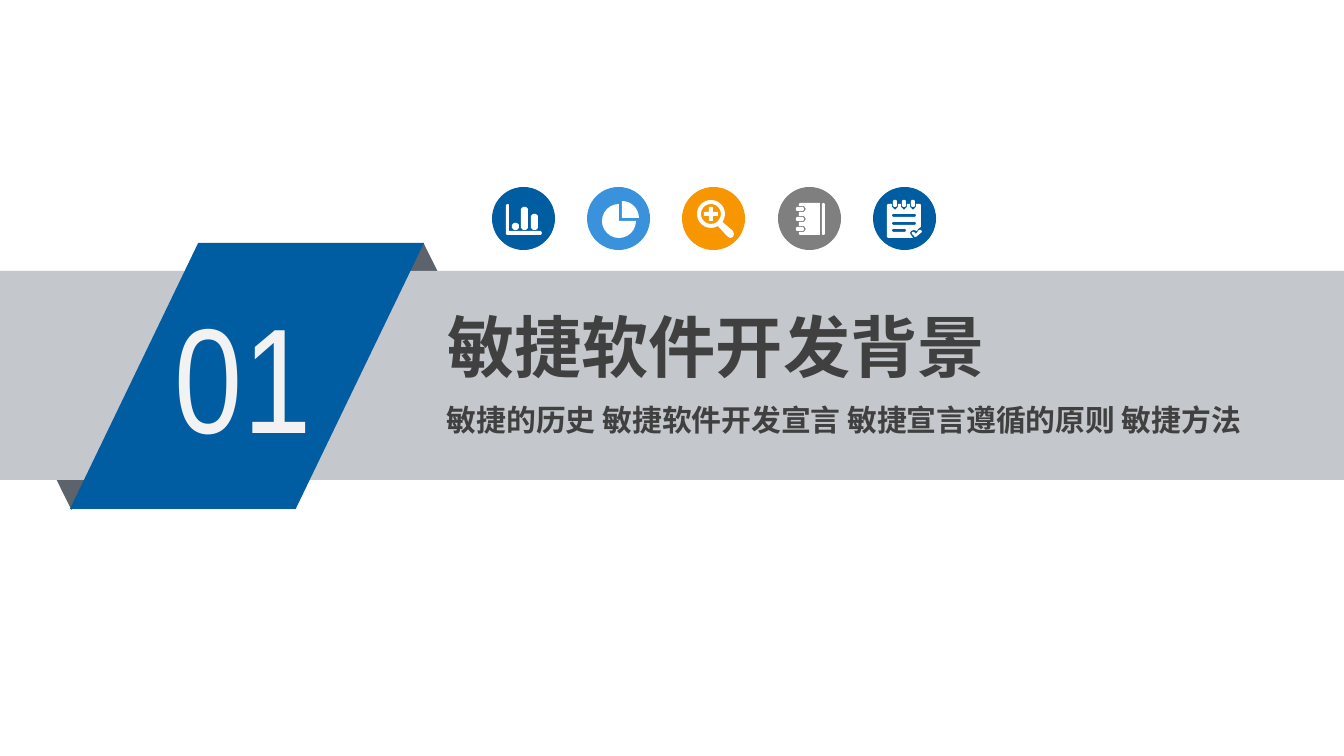
import math

import lxml.etree
import pptx
import pptx.dml.color
import pptx.enum.shapes
import pptx.enum.text
import pptx.oxml.ns
import pptx.util

SHAPE = pptx.enum.shapes.MSO_SHAPE
SCALE = 914400 / 134.4
BLUE, WHITE, DARK = "005DA2", "FFFFFF", "404040"
CJK = "Noto Sans CJK SC"


def px(n):
    return pptx.util.Emu(round(n * SCALE))


def color(value):
    return pptx.dml.color.RGBColor.from_string(value)


def write(tf, text, size, font, fill, bold=False, inset=10):
    tf.word_wrap = True
    tf.auto_size = pptx.enum.text.MSO_AUTO_SIZE.SHAPE_TO_FIT_TEXT
    tf.vertical_anchor = pptx.enum.text.MSO_ANCHOR.TOP
    tf.margin_left = tf.margin_right = px(inset)
    tf.margin_top = tf.margin_bottom = px(5)
    p = tf.paragraphs[0]
    p.alignment = pptx.enum.text.PP_ALIGN.LEFT
    r = p.add_run()
    r.text = text
    r.font.size = pptx.util.Pt(size)
    r.font.name = font
    r.font.bold = bold
    r.font.color.rgb = color(fill)
    ea = lxml.etree.SubElement(r.font._element, pptx.oxml.ns.qn("a:ea"))
    ea.set("typeface", font)


class Deck:
    """Holds the slide, the group being filled and the fill style."""

    def __init__(self, width, height):
        self.prs = pptx.Presentation()
        self.prs.slide_width, self.prs.slide_height = px(width), px(height)
        self.s = self.prs.slides.add_slide(self.prs.slide_layouts[5])
        self.shapes = self.s.shapes

    def group(self):
        self.shapes = self.s.shapes.add_group_shape().shapes

    def ungroup(self):
        self.shapes = self.s.shapes

    def paint(self, sp, fill):
        sp.shadow.inherit = False
        sp.fill.solid()
        sp.fill.fore_color.rgb = color(fill)
        sp.line.fill.background()

    def shape(self, kind, x, y, w, h, fill, adj=None, flip=False):
        sp = self.shapes.add_shape(kind, px(x), px(y), px(w), px(h))
        if adj is not None:
            sp.adjustments[0] = adj
        if flip:
            sp._element.spPr.get_or_add_xfrm().set("flipV", "1")
        self.paint(sp, fill)

    def outline(self, contours, x, y, fill):
        dots = [[(px(x + dx), px(y + dy)) for dx, dy in c] for c in contours]
        fb = self.shapes.build_freeform(*dots[0][0])
        for i, contour in enumerate(dots):
            if i:
                fb.move_to(*contour[0])
            fb.add_line_segments(contour[1:])
        self.paint(fb.convert_to_shape(), fill)

    def icon(self, x, y, fill, contours):
        self.group()
        self.shape(SHAPE.OVAL, x, y, 63, 63, fill)
        self.outline(contours, x, y, WHITE)
        self.ungroup()

    def text(self, text, x, y, w, h, **style):
        tb = self.shapes.add_textbox(px(x), px(y), px(w), px(h))
        write(tb.text_frame, text, **style)

    def title(self, text, x, y, w, h, **style):
        sp = self.s.shapes.title
        sp.left, sp.top, sp.width, sp.height = px(x), px(y), px(w), px(h)
        write(sp.text_frame, text, **style)
        self.s.shapes._spTree.append(sp._element)


def arc(cx, cy, radius, start=0, end=360, steps=24):
    angles = [math.radians(start + (end - start) * i / steps) for i in range(steps + 1)]
    return [(cx + radius * math.cos(a), cy + radius * math.sin(a)) for a in angles]


def box(x, y, w, h, cut=1):
    r, b = x + w, y + h
    return [(x + cut, y), (r - cut, y), (r, y + cut), (r, b - cut),
            (r - cut, b), (x + cut, b), (x, b - cut), (x, y + cut)]


def bar_chart():
    axes = [(14, 18), (16, 17), (17, 18), (17, 44), (49, 44), (50, 46), (49, 48), (15, 48), (14, 47)]
    bars = ((20, 36), (29, 20), (39, 27))
    return [axes] + [box(x, top, 7, 43 - top, 2) for x, top in bars]


def pie_chart():
    return [[(32, 34)] + arc(32, 34, 17, 0, 270, 18),
            [(35, 31)] + arc(35, 31, 17, 270, 360, 8)]


def magnifier():
    handle = [(51, 44), (52, 47), (51, 50), (48, 51), (45, 49)]
    return [arc(29, 27, 14, 60, 395) + handle, arc(29, 27, 10),
            [(27, 20), (31, 20), (31, 25), (36, 25), (36, 29), (31, 29),
             (31, 34), (27, 34), (27, 29), (22, 29), (22, 25), (27, 25)]]


def notebook():
    tops = (39, 29, 19)
    page = [(42, 16), (42, 48), (22, 48), (21, 47)]
    for top in tops:
        page += [(21, top + 6), (26, top + 6), (28, top + 3), (26, top), (21, top)]
    page += [(21, 17), (22, 16)]
    return [page, box(44, 16, 3, 32)] + [box(18, top + 1, 8, 4, 1) for top in tops]


def checklist():
    centers = (22, 31, 40)
    page = [(14, 18), (15, 17)]
    for c in centers:
        page += [(c - 3, 17), (c - 3, 20), (c, 23), (c + 3, 20), (c + 3, 17)]
    page += [(47, 17), (48, 18), (48, 40), (45, 42), (44, 44), (41, 43),
             (38, 44), (37, 46), (38, 48), (40, 51), (15, 51), (14, 50)]
    tick = [(39, 45), (41, 45), (43, 47), (46, 43), (48, 43), (49, 45), (43, 50), (42, 50), (39, 47)]
    lines = ((27, 24), (35, 24), (42, 14))
    return ([page, tick] + [box(19, y, w, 3) for y, w in lines]
            + [box(c - 2, 13, 4, 7) for c in centers])


def main():
    d = Deck(1344, 756)
    d.group()
    d.shape(SHAPE.ISOSCELES_TRIANGLE, 363, 243, 121, 122, "5D636A")
    d.shape(SHAPE.ISOSCELES_TRIANGLE, 11, 388, 121, 122, "5D636A", flip=True)
    d.shape(SHAPE.RECTANGLE, 0, 271, 1344, 209, "C4C7CB")
    d.shape(SHAPE.PARALLELOGRAM, 70, 243, 354, 266, BLUE, 0.482)
    d.text("01", 164, 279, 195, 191, size=80, font="Arial Narrow", fill="F2F2F2", inset=11)
    d.ungroup()
    d.title("敏捷软件开发背景", 437, 300, 742, 97, size=36, font=CJK, fill=DARK, bold=True)
    d.text("敏捷的历史 敏捷软件开发宣言 敏捷宣言遵循的原则 敏捷方法",
           437, 397, 899, 48, size=16, font=CJK, fill=DARK, bold=True)
    icons = ((BLUE, bar_chart), ("3992DB", pie_chart), ("F79600", magnifier),
             ("7F7F7F", notebook), (BLUE, checklist))
    for i, (fill, contours) in enumerate(icons):
        d.icon(492 + round(i * 95.25), 187, fill, contours())
    d.prs.save("out.pptx")


if __name__ == "__main__":
    main()
